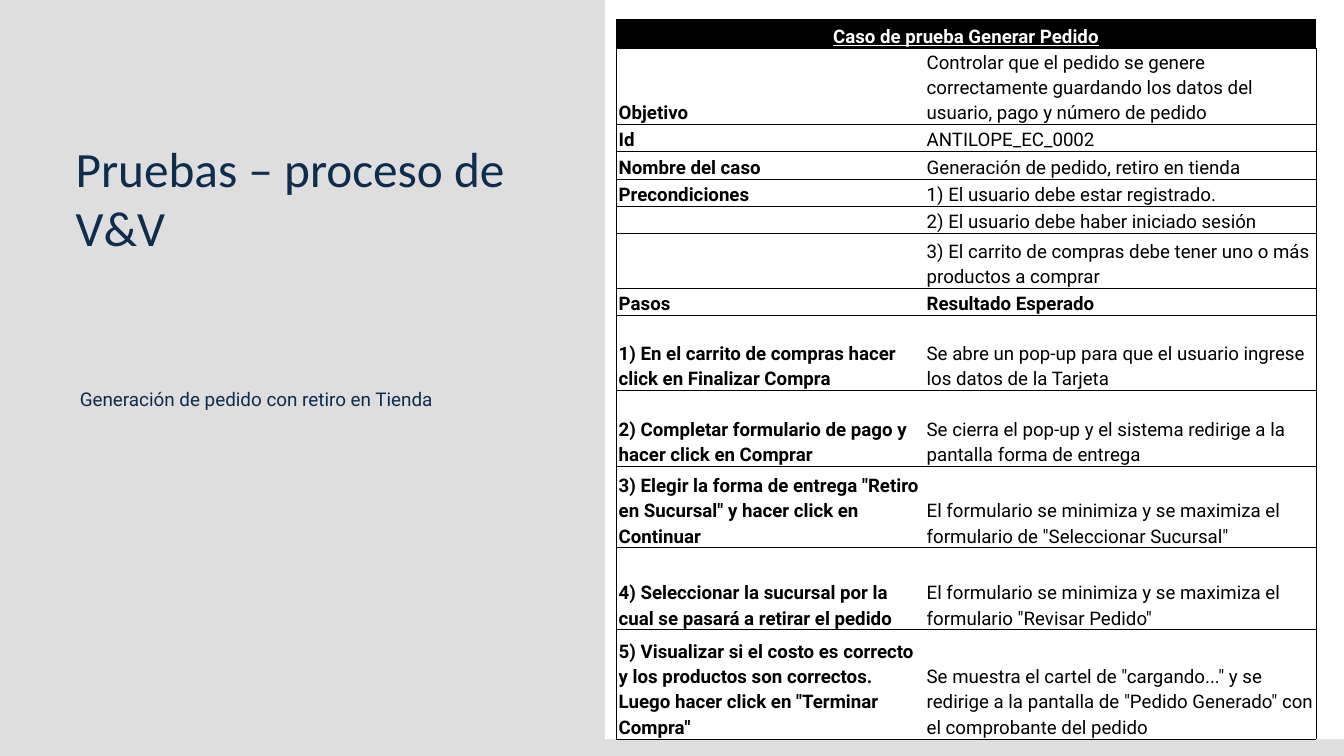
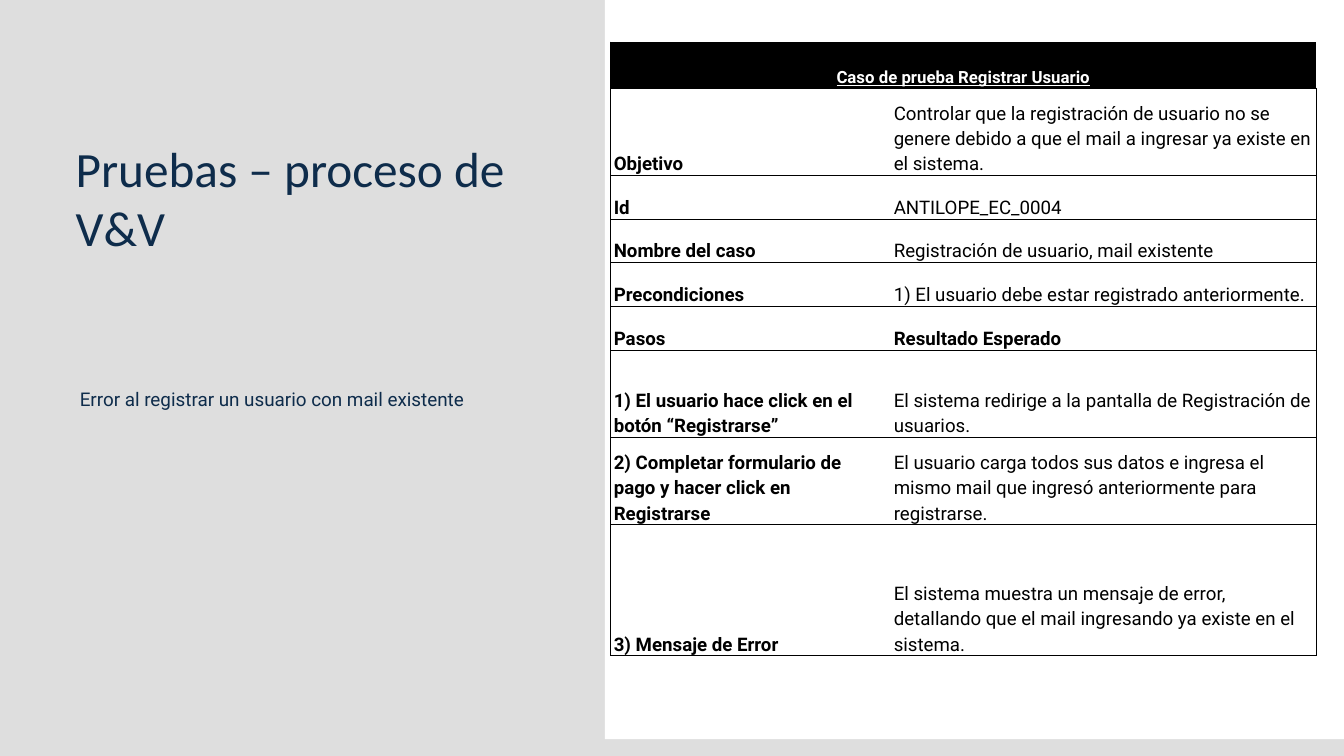
from dataclasses import dataclass
from math import cos, pi, sin

from lxml.etree import SubElement
from pptx import Presentation
from pptx.dml.color import RGBColor
from pptx.enum.text import MSO_ANCHOR, MSO_AUTO_SIZE, PP_ALIGN
from pptx.oxml.ns import qn
from pptx.util import Inches, Pt


@dataclass(frozen=True)
class Theme:
    """Colours, fonts and type sizes that the slides share."""

    backdrop: str = "DEDEDE"
    panel: str = "FFFFFF"
    navy: str = "0E2C4B"
    ink: str = "000000"
    reverse: str = "FFFFFF"
    heading_font: str = "Calibri"
    text_font: str = "Roboto"
    title_size: float = 52.8
    title_leading: float = 63.3
    subtitle_size: float = 20.2
    subtitle_leading: float = 28.4
    cell_size: float = 20
    cell_leading: float = 1.15
    border: float = 0.75


@dataclass(frozen=True)
class TestCase:
    """A test case: its table's place, columns, row unit and rows."""

    subtitle: str
    heading: str
    heading_size: float
    heading_share: float
    corner: tuple
    columns: tuple
    row_unit: float
    margin: float
    rows: tuple


THEME = Theme()
SLIDE_WIDTH, SLIDE_HEIGHT = 20, 11.25
GRID = SLIDE_WIDTH / 48
TITLE = "Pruebas – proceso de V&V"
RESULT_HEADING = "Resultado Esperado"
TITLE_AREA = (2.7, 4.95, 16.2, 4.25)
SUBTITLE_AREA = (2.85, 13.72, 15.54, 0.93)
PANEL_AREA = (21, 0.2, 27, 26.5)
PANEL_CORNER = (0.7, 1.43)

PICKUP_ORDER = TestCase(
    subtitle="Generación de pedido con retiro en Tienda",
    heading="Caso de prueba Generar Pedido",
    heading_size=20,
    heading_share=1.06,
    corner=(22, 0.7),
    columns=(11, 14),
    row_unit=0.975,
    margin=0.04,
    rows=(
        (2.76, "Objetivo", "Controlar que el pedido se genere correctamente guardando los datos del usuario, pago y número de pedido"),
        (1, "Id", "ANTILOPE_EC_0002"),
        (1, "Nombre del caso", "Generación de pedido, retiro en tienda"),
        (1, "Precondiciones", "1) El usuario debe estar registrado."),
        (1, "", "2) El usuario debe haber iniciado sesión"),
        (2, "", "3) El carrito de compras debe tener uno o más productos a comprar"),
        (1, "Pasos", RESULT_HEADING),
        (2.76, "1) En el carrito de compras hacer click en Finalizar Compra", "Se abre un pop-up para que el usuario ingrese los datos de la Tarjeta"),
        (2.76, "2) Completar formulario de pago y hacer click en Comprar", "Se cierra el pop-up y el sistema redirige a la pantalla forma de entrega"),
        (3, '3) Elegir la forma de entrega "Retiro en Sucursal" y hacer click en Continuar', 'El formulario se minimiza y se maximiza el formulario de "Seleccionar Sucursal"'),
        (3, "4) Seleccionar la sucursal por la cual se pasará a retirar el pedido", 'El formulario se minimiza y se maximiza el formulario "Revisar Pedido"'),
        (4, '5) Visualizar si el costo es correcto y los productos son correctos. Luego hacer click en "Terminar Compra"', 'Se muestra el cartel de "cargando..." y se redirige a la pantalla de "Pedido Generado" con el comprobante del pedido'),
    ),
)

EXISTING_MAIL = TestCase(
    subtitle="Error al registrar un usuario con mail existente",
    heading="Caso de prueba Registrar Usuario",
    heading_size=18,
    heading_share=1.05,
    corner=(21.8, 1.5),
    columns=(10, 15.2),
    row_unit=1.56,
    margin=0.05,
    rows=(
        (2, "Objetivo", "Controlar que la registración de usuario no se genere debido a que el mail a ingresar ya existe en el sistema."),
        (1, "Id", "ANTILOPE_EC_0004"),
        (1, "Nombre del caso", "Registración de usuario, mail existente"),
        (1, "Precondiciones", "1) El usuario debe estar registrado anteriormente."),
        (1, "Pasos", RESULT_HEADING),
        (2, "1) El usuario hace click en el botón “Registrarse”", "El sistema redirige a la pantalla de Registración de usuarios."),
        (2, "2) Completar formulario de pago y hacer click en Registrarse", "El usuario carga todos sus datos e ingresa el mismo mail que ingresó anteriormente para registrarse."),
        (3, "3) Mensaje de Error", "El sistema muestra un mensaje de error, detallando que el mail ingresando ya existe en el sistema."),
    ),
)


def cells_to_length(count):
    """Turn a number of grid columns or rows into a length."""
    return Inches(count * GRID)


def set_values(target, values):
    """Set each named attribute of the target."""
    for name, value in values.items():
        setattr(target, name, value)


def fill_with(target, colour):
    """Give the target a solid fill."""
    target.fill.solid()
    target.fill.fore_color.rgb = RGBColor.from_string(colour)


def write_text(frame, text, colour, paragraph_format, font_format):
    """Write one formatted paragraph into a text frame."""
    para = frame.paragraphs[0]
    set_values(para, paragraph_format)
    span = para.add_run()
    span.text = text
    set_values(span.font, font_format)
    span.font.color.rgb = RGBColor.from_string(colour)
    return para


def fill_placeholder(box, text, area, font_name, size, leading):
    """Move a placeholder to its area and write its text."""
    lengths = map(cells_to_length, area)
    set_values(box, dict(zip(("left", "top", "width", "height"), lengths)))
    set_values(box.text_frame, {
        "margin_left": 0, "margin_top": 0, "margin_right": 0, "margin_bottom": 0,
        "word_wrap": True, "auto_size": MSO_AUTO_SIZE.NONE,
        "vertical_anchor": MSO_ANCHOR.TOP,
    })
    return write_text(
        box.text_frame, text, THEME.navy,
        {"alignment": PP_ALIGN.LEFT, "line_spacing": Pt(leading), "space_before": Pt(0)},
        {"name": font_name, "size": Pt(size)},
    )


def remove_bullet(para):
    """Take the bullet and its indent off a paragraph."""
    properties = para._p.get_or_add_pPr()
    properties.set("marL", "0")
    properties.set("indent", "0")
    SubElement(properties, qn("a:buNone"))


def panel_outline(steps=16):
    """Return the panel's outline with elliptical corners, in inches."""
    left, top, width, height = (value * GRID for value in PANEL_AREA)
    radius_x, radius_y = PANEL_CORNER[0] * GRID, PANEL_CORNER[1] * GRID
    right, bottom = left + width, top + height
    centres = (
        (right - radius_x, bottom - radius_y),
        (left + radius_x, bottom - radius_y),
        (left + radius_x, top + radius_y),
        (right - radius_x, top + radius_y),
    )
    return [
        (x + radius_x * cos(angle), y + radius_y * sin(angle))
        for quarter, (x, y) in enumerate(centres)
        for angle in ((quarter + step / steps) * pi / 2 for step in range(steps + 1))
    ]


def add_panel(page):
    """Draw the rounded panel behind the table."""
    start, *others = panel_outline()
    builder = page.shapes.build_freeform(*start, scale=Inches(1))
    builder.add_line_segments(others, close=True)
    panel = builder.convert_to_shape()
    panel.shadow.inherit = False
    panel.line.fill.background()
    fill_with(panel, THEME.panel)


def add_borders(cell, sides):
    """Draw the named sides of a cell and hide the others."""
    properties = cell._tc.get_or_add_tcPr()
    for side in "LRTB":
        line = SubElement(properties, qn(f"a:ln{side}"), w=str(Pt(THEME.border)))
        if side in sides:
            fill = SubElement(line, qn("a:solidFill"))
            SubElement(fill, qn("a:srgbClr"), val=THEME.ink)
        else:
            SubElement(line, qn("a:noFill"))


def format_cell(cell, sides, colour, margin):
    """Set a cell's borders, fill, margins and anchor."""
    add_borders(cell, sides)
    fill_with(cell, colour)
    set_values(cell, {
        "margin_left": Inches(margin), "margin_right": Inches(margin),
        "margin_top": 0, "margin_bottom": 0,
        "vertical_anchor": MSO_ANCHOR.BOTTOM,
    })


def write_cell(cell, text, bold):
    """Write a body cell."""
    write_text(
        cell.text_frame, text, THEME.ink,
        {"line_spacing": THEME.cell_leading},
        {"name": THEME.text_font, "size": Pt(THEME.cell_size), "bold": bold},
    )


def add_case_table(page, case):
    """Add the table of a test case under its merged heading."""
    shares = [case.heading_share] + [row[0] for row in case.rows]
    heights = [cells_to_length(share * case.row_unit) for share in shares]
    widths = [cells_to_length(count) for count in case.columns]
    left, top = map(cells_to_length, case.corner)
    table = page.shapes.add_table(
        len(heights), len(widths), left, top, sum(widths), sum(heights)
    ).table
    set_values(table, {"first_row": False, "horz_banding": False})
    for column, width in zip(table.columns, widths):
        column.width = width
    for row, height in zip(table.rows, heights):
        row.height = height

    for cell, sides in zip(table.rows[0].cells, ("LTB", "RTB")):
        format_cell(cell, sides, THEME.ink, case.margin)
    heading = table.cell(0, 0)
    heading.merge(table.cell(0, 1))
    write_text(
        heading.text_frame, case.heading, THEME.reverse,
        {"alignment": PP_ALIGN.CENTER, "line_spacing": THEME.cell_leading},
        {"name": THEME.text_font, "size": Pt(case.heading_size), "bold": True, "underline": True},
    )
    for index, (_, label, detail) in enumerate(case.rows, start=1):
        texts = ((label, "LTB", True), (detail, "RTB", detail == RESULT_HEADING))
        for cell, (text, sides, bold) in zip(table.rows[index].cells, texts):
            format_cell(cell, sides, THEME.panel, case.margin)
            if text:
                write_cell(cell, text, bold)


def add_case_slide(deck, case):
    """Add the slide of one test case."""
    page = deck.slides.add_slide(deck.slide_layouts[1])
    fill_placeholder(
        page.shapes.title, TITLE, TITLE_AREA,
        THEME.heading_font, THEME.title_size, THEME.title_leading,
    )
    subtitle = fill_placeholder(
        page.placeholders[1], case.subtitle, SUBTITLE_AREA,
        THEME.text_font, THEME.subtitle_size, THEME.subtitle_leading,
    )
    remove_bullet(subtitle)
    add_panel(page)
    add_case_table(page, case)


def main():
    """Build the deck and save it."""
    deck = Presentation()
    set_values(deck, {
        "slide_width": Inches(SLIDE_WIDTH), "slide_height": Inches(SLIDE_HEIGHT),
    })
    fill_with(deck.slide_master.background, THEME.backdrop)
    for case in (PICKUP_ORDER, EXISTING_MAIL):
        add_case_slide(deck, case)
    deck.save("out.pptx")


if __name__ == "__main__":
    main()
